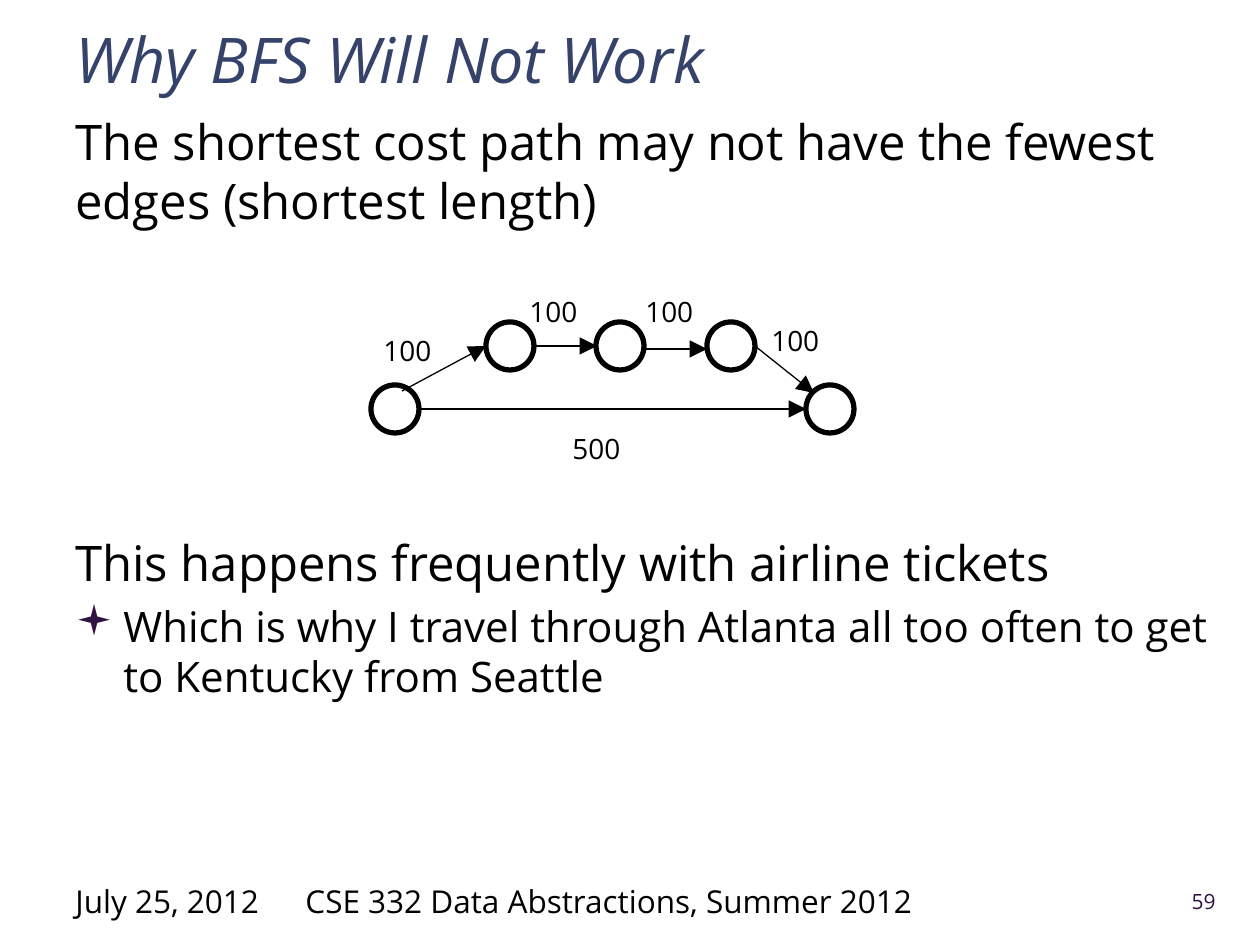
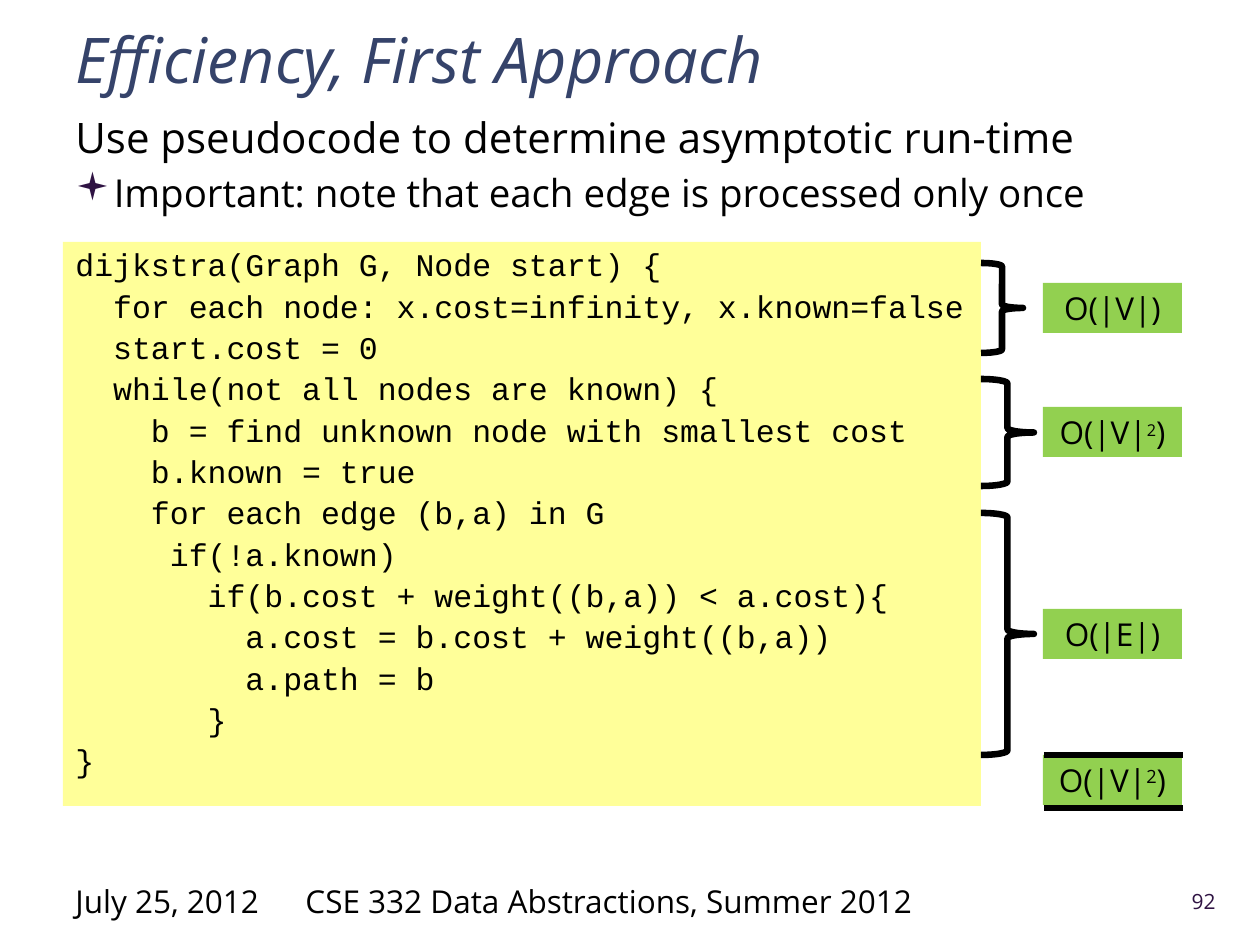
from lxml.etree import SubElement
from pptx import Presentation
from pptx.dml.color import RGBColor
from pptx.enum.shapes import MSO_CONNECTOR, MSO_SHAPE
from pptx.enum.text import MSO_ANCHOR, MSO_AUTO_SIZE, PP_ALIGN
from pptx.oxml.ns import qn
from pptx.util import Emu, Pt

PIXEL = 914400 / 126
COLORS = {
    "title": "35436A",
    "text": "000000",
    "accent": "2F1343",
    "code": "FFFF99",
    "cost": "92D050",
}
FONT = "Open Sans"
CODE_FONT = "Courier New"
BULLET_FONT = "Wingdings"
CHARACTER_WIDTH = 18.9
FOOTER_TOP, FOOTER_HEIGHT = 876, 50

CODE = """\
dijkstra(Graph G, Node start) {
  for each node: x.cost=infinity, x.known=false
  start.cost = 0
  while(not all nodes are known) {
    b = find unknown node with smallest cost
    b.known = true
    for each edge (b,a) in G
     if(!a.known)
       if(b.cost + weight((b,a)) < a.cost){
         a.cost = b.cost + weight((b,a))
         a.path = b
       }
}"""


def px(value):
    """Convert picture pixels to EMU."""
    return Emu(round(value * PIXEL))


def color(name):
    """Look up a palette colour."""
    return RGBColor.from_string(COLORS[name])


class Deck:
    """Holds the shared style and the current slide."""

    def __init__(self):
        """Start an empty 10 by 7.5 inch presentation."""
        self.presentation = Presentation()
        self.presentation.slide_width = px(1260)
        self.presentation.slide_height = px(945)
        self.slide = None

    def add_slide(self, title, number):
        """Add a slide with its title and footer."""
        self.slide = self.presentation.slides.add_slide(self.presentation.slide_layouts[5])
        shape = self.slide.shapes.title
        shape.left, shape.top, shape.width, shape.height = map(px, (63, 21, 1165, 67))
        frame = shape.text_frame
        frame.text = title
        frame.auto_size = MSO_AUTO_SIZE.NONE
        frame.vertical_anchor = MSO_ANCHOR.MIDDLE
        paragraph = frame.paragraphs[0]
        paragraph.alignment = PP_ALIGN.LEFT
        paragraph.line_spacing = 1.1
        paragraph.font.italic = True
        self.style(paragraph, 36, "title")
        self.text("July 25, 2012", 63, FOOTER_TOP, 220, FOOTER_HEIGHT)
        self.text("CSE 332 Data Abstractions, Summer 2012", 293, FOOTER_TOP, 674, FOOTER_HEIGHT)
        frame = self.text(str(number), 1120, FOOTER_TOP, 108, FOOTER_HEIGHT, 12, "accent")
        frame.vertical_anchor = MSO_ANCHOR.MIDDLE
        frame.paragraphs[0].alignment = PP_ALIGN.RIGHT

    def style(self, paragraph, size, color_name="text", font=FONT):
        """Set the font of a whole paragraph."""
        paragraph.font.name = font
        paragraph.font.size = Pt(size)
        paragraph.font.color.rgb = color(color_name)

    def text(self, text, left, top, width, height, size=18, color_name="text", wrap=True):
        """Add a one-paragraph text box and return its frame."""
        frame = self.slide.shapes.add_textbox(*map(px, (left, top, width, height))).text_frame
        frame.word_wrap = wrap
        frame.text = text
        self.style(frame.paragraphs[0], size, color_name)
        return frame

    def body(self, height, items):
        """Add body text from (text, size, bullet indent, space before) items."""
        frame = self.slide.shapes.add_textbox(*map(px, (63, 105, 1165, height))).text_frame
        frame.word_wrap = True
        for index, (text, size, indent, space) in enumerate(items):
            paragraph = frame.add_paragraph() if index else frame.paragraphs[0]
            paragraph.text = text
            paragraph.space_before = Pt(space)
            if indent:
                self.bullet(paragraph, indent)
            self.style(paragraph, size)

    def bullet(self, paragraph, indent):
        """Give a paragraph a square bullet with a hanging indent."""
        properties = paragraph._p.get_or_add_pPr()
        properties.set("marL", str(px(indent)))
        properties.set("indent", str(-px(indent)))
        bullet_color = SubElement(properties, qn("a:buClr"))
        SubElement(bullet_color, qn("a:srgbClr"), val=COLORS["accent"])
        SubElement(properties, qn("a:buFont"), typeface=BULLET_FONT)
        SubElement(properties, qn("a:buChar"), char="▪")

    def shape(self, kind, left, top, width, height, fill=None, line=None):
        """Add a preset shape with an optional fill and black outline."""
        shape = self.slide.shapes.add_shape(kind, *map(px, (left, top, width, height)))
        shape.shadow.inherit = False
        if fill:
            shape.fill.solid()
            shape.fill.fore_color.rgb = color(fill)
        else:
            shape.fill.background()
        if line:
            shape.line.color.rgb = color("text")
            shape.line.width = Pt(line)
        else:
            shape.line.fill.background()
        return shape

    def node(self, left, top):
        """Add a graph node."""
        self.shape(MSO_SHAPE.OVAL, left, top, 48, 48, line=3)

    def brace(self, top, width, height):
        """Add a brace on the right edge of the code."""
        shape = self.shape(MSO_SHAPE.RIGHT_BRACE, 981, top, width, height, line=3.75)
        shape.adjustments[0] = 0.083

    def line(self, start, end, width, arrow=False):
        """Add a straight line, with a large arrowhead at its end if asked."""
        points = map(px, (*start, *end))
        connector = self.slide.shapes.add_connector(MSO_CONNECTOR.STRAIGHT, *points)
        connector.line.color.rgb = color("text")
        connector.line.width = Pt(width)
        if arrow:
            outline = connector.line._get_or_add_ln()
            SubElement(outline, qn("a:tailEnd"), type="triangle", w="lg", len="lg")
        SubElement(connector._element.spPr, qn("a:effectLst"))

    def cost(self, top, base, exponent_size=None):
        """Add a green cost box, squared if an exponent size is given."""
        frame = self.shape(MSO_SHAPE.RECTANGLE, 1043, top, 139, 50, "cost").text_frame
        frame.word_wrap = False
        frame.vertical_anchor = MSO_ANCHOR.TOP
        paragraph = frame.paragraphs[0]
        paragraph.alignment = PP_ALIGN.CENTER
        self.style(paragraph, 18)
        paragraph.add_run().text = f"O(|{base}|"
        if exponent_size:
            exponent = paragraph.add_run()
            exponent.text = "2"
            exponent.font.size = Pt(exponent_size)
            exponent._r.get_or_add_rPr().set("baseline", "30000")
        paragraph.add_run().text = ")"

    def code(self, source):
        """Add the code panel, turning leading spaces into indents."""
        frame = self.shape(MSO_SHAPE.RECTANGLE, 63, 242, 918, 564, "code").text_frame
        frame.word_wrap = False
        frame.vertical_anchor = MSO_ANCHOR.TOP
        for index, line in enumerate(source.splitlines()):
            paragraph = frame.add_paragraph() if index else frame.paragraphs[0]
            paragraph.text = line.lstrip()
            depth = len(line) - len(paragraph.text)
            paragraph._p.get_or_add_pPr().set("marL", str(px(depth * CHARACTER_WIDTH)))
            paragraph.alignment = PP_ALIGN.LEFT
            paragraph.line_spacing = Pt(20)
            paragraph.space_before = Pt(3.6)
            self.style(paragraph, 18, font=CODE_FONT)


deck = Deck()

deck.add_slide("Why BFS Will Not Work", 59)
deck.body(756, [
    ("The shortest cost path may not have the fewest edges (shortest length)", 28, 0, 3.5),
    ("This happens frequently with airline tickets", 28, 0, 173.5),
    ("Which is why I travel through Atlanta all too often to get to Kentucky from Seattle",
     24, 48, 5),
])
for left, top in [(371, 385), (486, 322), (596, 322), (707, 322), (806, 385)]:
    deck.node(left, top)
for start, end in [
    ((418, 409), (806, 409)),
    ((402, 391), (486, 346)),
    ((534, 346), (597, 346)),
    ((644, 349), (707, 349)),
    ((755, 346), (814, 393)),
]:
    deck.line(start, end, 0.75, arrow=True)
for weight, left, top in [
    ("500", 560, 425),
    ("100", 371, 327),
    ("100", 517, 288),
    ("100", 633, 288),
    ("100", 759, 317),
]:
    deck.text(weight, left, top, 79, 47, 16, wrap=False)

deck.add_slide("Efficiency, First Approach", 92)
deck.body(136, [
    ("Use pseudocode to determine asymptotic run-time", 24, 0, 3),
    ("Important: note that each edge is processed only once", 22, 31.5, 4),
])
deck.code(CODE)
for top, width, height in [(263, 42, 90), (379, 53, 107), (513, 53, 242)]:
    deck.brace(top, width, height)
for top, base, exponent_size in [
    (283, "V", None),
    (407, "V", 16),
    (609, "E", None),
    (755, "V", 18),
]:
    deck.cost(top, base, exponent_size)
for top in (755, 808):
    deck.line((1044, top), (1183, top), 3.75)

deck.presentation.save("out.pptx")
